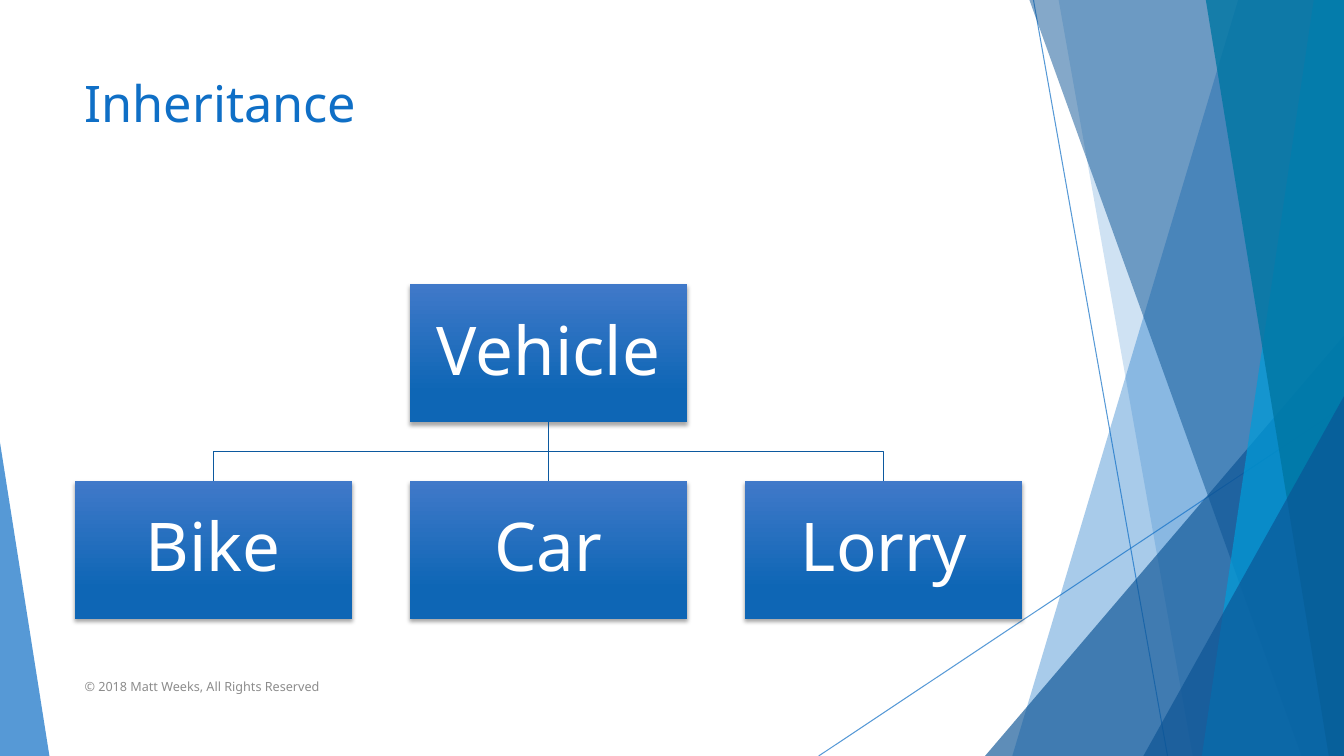
from pptx import Presentation
from pptx.dml.color import RGBColor
from pptx.enum import shapes, text
from pptx.oxml import ns, parse_xml
from pptx.util import Inches, Pt
from lxml import etree

BLUE = RGBColor(0x0F, 0x6F, 0xC6)
NAVY = RGBColor(0x0B, 0x53, 0x94)
CYAN = RGBColor(0x00, 0x9D, 0xD9)
TEAL = RGBColor(0x00, 0x76, 0xA3)
LINK = RGBColor(0x0C, 0x59, 0x9F)
GRAD_TOP = RGBColor(0x40, 0x79, 0xC9)
GRAD_END = RGBColor(0x0E, 0x66, 0xB5)
GREY = RGBColor(0x8C, 0x8C, 0x8C)
WHITE = RGBColor(0xFF, 0xFF, 0xFF)
W, H = 13.33, 7.5


def paint(fill, color, opacity):
    fill.solid()
    fill.fore_color.rgb = color
    clr = fill._xPr.find('.//' + ns.qn('a:srgbClr'))
    etree.SubElement(clr, ns.qn('a:alpha'), val=str(opacity * 1000))


def write(tf, words, size, color):
    tf.word_wrap = True
    p = tf.paragraphs[0]
    p.text = words
    font = p.runs[0].font
    font.name, font.size, font.color.rgb = 'Noto Sans', Pt(size), color
    return p


prs = Presentation()
prs.slide_width, prs.slide_height = Inches(W), Inches(H)
s = prs.slides.add_slide(prs.slide_layouts[6])

for x1, y1, x2, y2 in [(10.25, 0, 11.58, H), (W, 4.03, 8.12, H)]:
    cx = s.shapes.add_connector(shapes.MSO_CONNECTOR.STRAIGHT,
                                Inches(x1), Inches(y1), Inches(x2), Inches(y2))
    cx.line.width = Pt(0.75)
    paint(cx.line.fill, BLUE, 70)
    etree.SubElement(cx._element.spPr, ns.qn('a:effectLst'))

facets = [
    ('band', 12.28, 10.04, BLUE, 36),
    ('band', 10.5, 11.83, BLUE, 20),
    ('triangle', 9.77, 3.33, 1, NAVY, 66),
    ('band', 10.21, 12.91, NAVY, 50),
    ('band', 13.03, 11.92, CYAN, 70),
    ('band', 11.96, 13.18, TEAL, 80),
    ('triangle', 11.34, 3.93, 1, NAVY, 66),
    ('triangle', 0, 4.39, 0, BLUE, 70),
]
for kind, *geometry, color, opacity in facets:
    if kind == 'band':
        top_x, bottom_x = geometry
        fb = s.shapes.build_freeform(Inches(top_x), 0)
        fb.add_line_segments([(Inches(x), Inches(y)) for x, y in
                              [(W, 0), (W, H), (bottom_x, H)]], close=True)
        sp = fb.convert_to_shape()
    else:
        left, top, apex = geometry
        width = W - left if apex else 0.49
        sp = s.shapes.add_shape(shapes.MSO_SHAPE.ISOSCELES_TRIANGLE, Inches(left),
                                Inches(top), Inches(width), Inches(H - top))
        sp.adjustments[0] = apex
    paint(sp.fill, color, opacity)
    sp.line.fill.background()
    sp.shadow.inherit = False

title = s.shapes.add_textbox(Inches(0.74), Inches(0.67), Inches(9.4), Inches(1.44))
write(title.text_frame, 'Inheritance', 36, BLUE)
footer = s.shapes.add_textbox(Inches(0.74), Inches(6.61), Inches(6.89), Inches(0.4))
footer.text_frame.vertical_anchor = text.MSO_ANCHOR.MIDDLE
write(footer.text_frame, '© 2018 Matt Weeks, All Rights Reserved', 9, GREY)

BOX_W, BOX_H, PITCH = 2.75, 1.37, 3.325
LEFT, PARENT_Y, CHILD_Y = 0.74, 2.82, 4.77
boxes = {}
for name, column, top in [('Vehicle', 1, PARENT_Y), ('Bike', 0, CHILD_Y),
                          ('Car', 1, CHILD_Y), ('Lorry', 2, CHILD_Y)]:
    sp = s.shapes.add_shape(shapes.MSO_SHAPE.RECTANGLE, Inches(LEFT + column * PITCH),
                            Inches(top), Inches(BOX_W), Inches(BOX_H))
    sp.fill.gradient()
    sp.fill.gradient_angle = 270
    for stop, color, position in zip(sp.fill.gradient_stops, (GRAD_TOP, GRAD_END), (0, 0.78)):
        stop.color.rgb, stop.position = color, position
    sp.line.fill.background()
    sp.shadow.inherit = False
    sp._element.spPr.find(ns.qn('a:effectLst')).append(parse_xml(
        f'<a:outerShdw {ns.nsdecls("a")} blurRad="38100" dist="25400" dir="5400000" '
        'rotWithShape="0"><a:srgbClr val="000000"><a:alpha val="35000"/>'
        '</a:srgbClr></a:outerShdw>'))
    tf = sp.text_frame
    tf.margin_left = tf.margin_right = tf.margin_top = tf.margin_bottom = Inches(0.03)
    tf.vertical_anchor = text.MSO_ANCHOR.MIDDLE
    p = write(tf, name, 48, WHITE)
    p.alignment = text.PP_ALIGN.CENTER
    p.line_spacing = 0.9
    boxes[name] = sp

parent = boxes['Vehicle']
start_x, start_y = parent.left + parent.width // 2, parent.top + parent.height
stem = s.shapes.add_connector(shapes.MSO_CONNECTOR.STRAIGHT, 0, 0, 0, 0)
stem.begin_connect(parent, 2)
stem.end_connect(boxes['Car'], 0)
stem.line.color.rgb, stem.line.width = LINK, Pt(1)
etree.SubElement(stem._element.spPr, ns.qn('a:effectLst'))
for name in ('Bike', 'Lorry'):
    child = boxes[name]
    end_x, mid_y = child.left + child.width // 2, (start_y + child.top) // 2
    fb = s.shapes.build_freeform(start_x, start_y)
    fb.add_line_segments([(start_x, mid_y), (end_x, mid_y), (end_x, child.top)], close=False)
    branch = fb.convert_to_shape()
    branch.fill.background()
    branch.line.color.rgb, branch.line.width = LINK, Pt(1)
    branch.shadow.inherit = False

prs.save("out.pptx")
